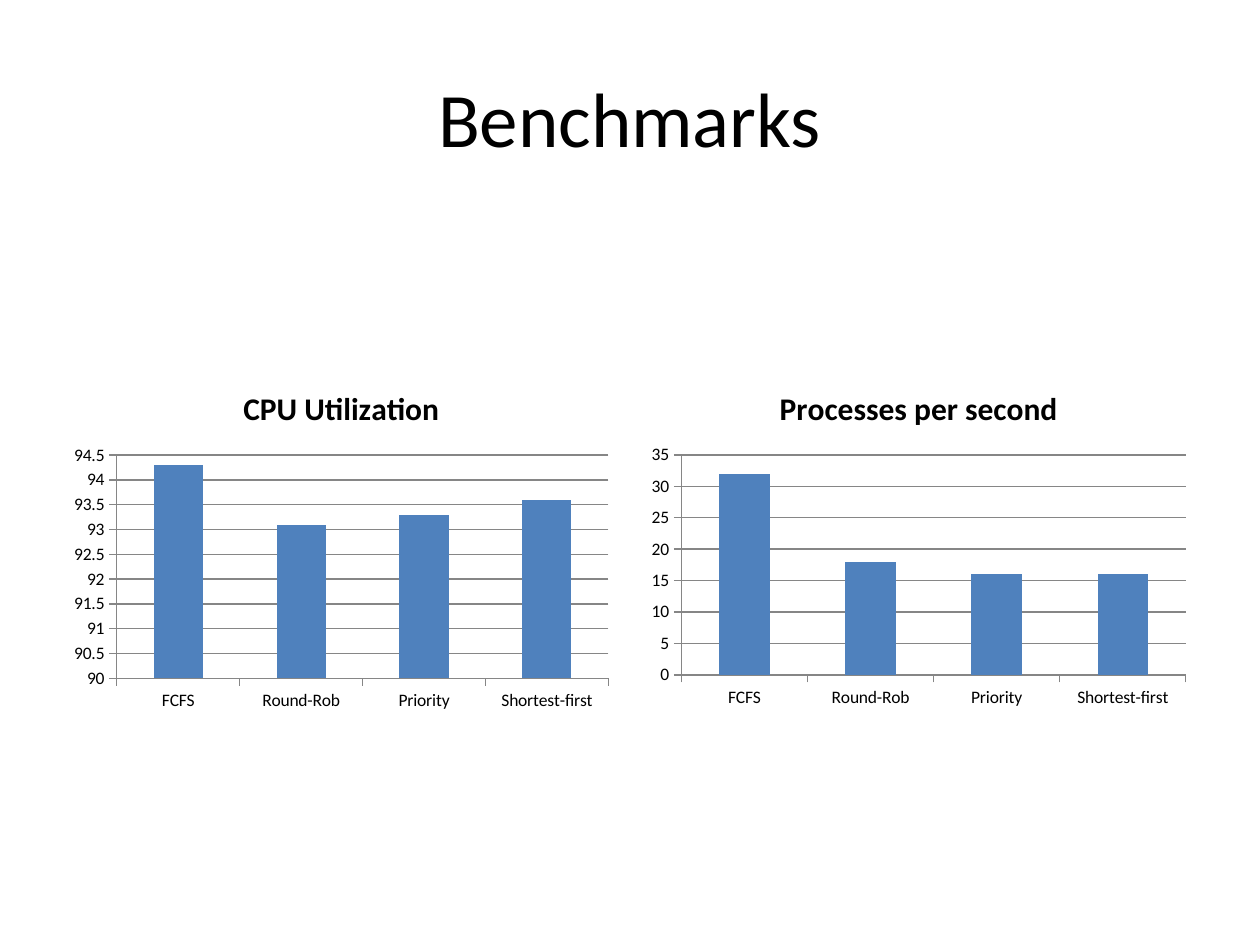
from dataclasses import dataclass

from pptx import Presentation
from pptx.chart.data import CategoryChartData
from pptx.dml.color import RGBColor
from pptx.enum.chart import XL_CHART_TYPE, XL_TICK_MARK
from pptx.enum.text import MSO_ANCHOR, PP_ALIGN
from pptx.util import Pt

FACE = "Calibri"
BLACK, BLUE, GREY = "000000", "4F81BD", "868686"
NAMES = ["FCFS", "Round-Rob", "Priority", "Shortest-first"]
EDGE, TOP, WIDE = 36, 210, 318


@dataclass
class Bench:
    title: str
    series: str
    vals: list[float]
    left: float
    high: float
    low: float
    top: float
    step: float


def paint(color, code: str) -> None:
    color.rgb = RGBColor.from_string(code)


def style(font, size: float, bold: bool = False) -> None:
    font.name, font.size, font.bold = FACE, Pt(size), bold
    paint(font.color, BLACK)


def rule(line) -> None:
    """Give an axis or grid line its thin grey stroke."""
    line.width = Pt(0.75)
    paint(line.color, GREY)


def add_title(slide, text: str) -> None:
    box = slide.shapes.add_textbox(Pt(EDGE), Pt(21.6), Pt(648), Pt(90))
    frame = box.text_frame
    frame.word_wrap = True
    frame.vertical_anchor = MSO_ANCHOR.MIDDLE
    para = frame.paragraphs[0]
    para.text = text
    para.alignment = PP_ALIGN.CENTER
    style(para.font, 44)


def add_bench(slide, bench: Bench) -> None:
    data = CategoryChartData()
    data.categories = NAMES
    data.add_series(bench.series, bench.vals)
    chart = slide.shapes.add_chart(
        XL_CHART_TYPE.COLUMN_CLUSTERED,
        Pt(bench.left), Pt(TOP), Pt(WIDE), Pt(bench.high), data,
    ).chart
    style(chart.font, 10)
    chart.has_legend = False

    chart.has_title = True
    para = chart.chart_title.text_frame.paragraphs[0]
    para.text = bench.title
    style(para.font, 18, bold=True)
    chart.chart_title.include_in_layout = False

    plot = chart.plots[0]
    plot.gap_width = 150
    plot.vary_by_categories = False
    fill = plot.series[0].format.fill
    fill.solid()
    paint(fill.fore_color, BLUE)

    scale = chart.value_axis
    scale.minimum_scale, scale.maximum_scale = bench.low, bench.top
    scale.major_unit = bench.step
    scale.has_major_gridlines = True
    rule(scale.major_gridlines.format.line)
    scale.tick_labels.number_format = "General"
    scale.tick_labels.number_format_is_linked = False
    for axis in (chart.category_axis, scale):
        axis.major_tick_mark = XL_TICK_MARK.OUTSIDE
        axis.minor_tick_mark = XL_TICK_MARK.NONE
        rule(axis.format.line)
        style(axis.tick_labels.font, 10)


def main() -> None:
    deck = Presentation()
    deck.slide_width, deck.slide_height = Pt(720), Pt(540)
    slide = deck.slides.add_slide(deck.slide_layouts[6])
    add_title(slide, "Benchmarks")
    for bench in (
        Bench("CPU Utilization", "CPU Utilization", [94.3, 93.1, 93.3, 93.6],
              EDGE, 200, 90, 94.5, 0.5),
        Bench("Processes per second", "Series 1", [32, 18, 16, 16],
              720 - EDGE - WIDE, 198, 0, 35, 5),
    ):
        add_bench(slide, bench)
    deck.save("out.pptx")


if __name__ == "__main__":
    main()
